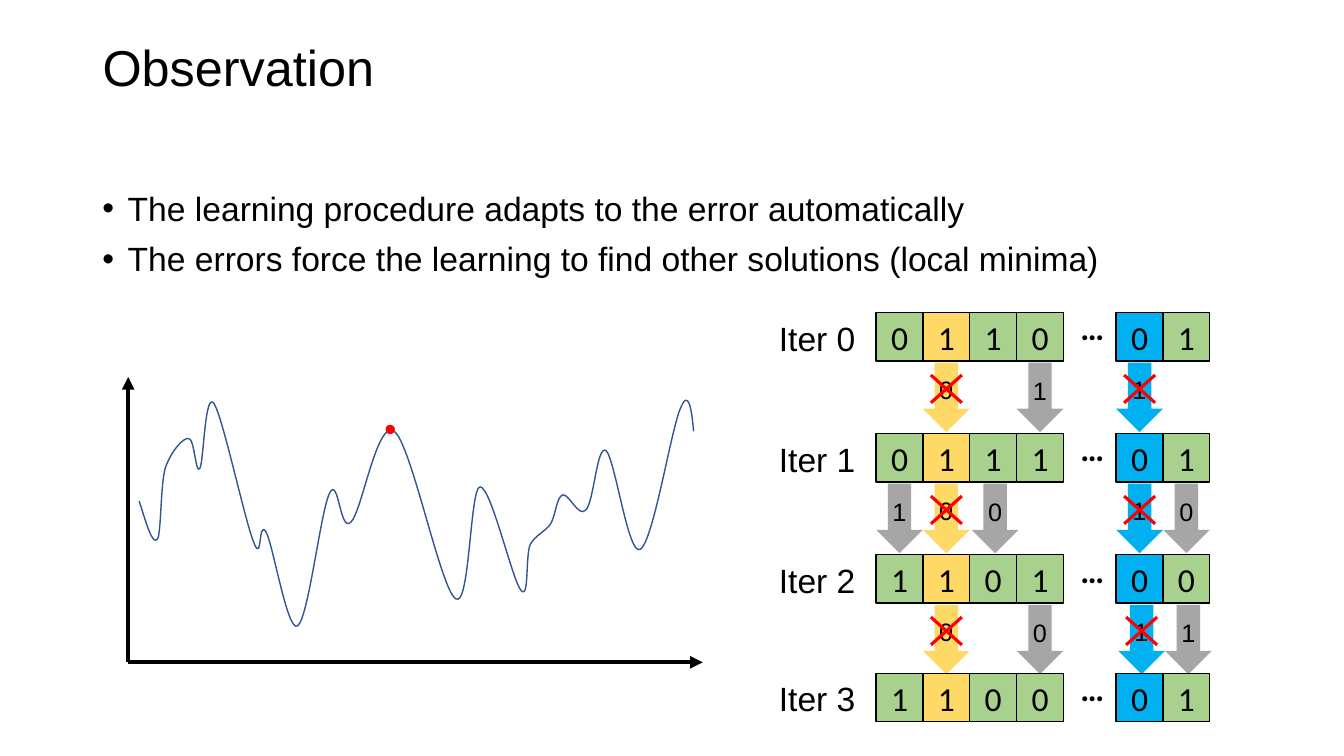
from pptx import Presentation
from pptx.dml.color import RGBColor
from pptx.enum.shapes import MSO_CONNECTOR, MSO_SHAPE
from pptx.enum.text import MSO_ANCHOR, MSO_AUTO_SIZE, PP_ALIGN
from pptx.oxml.ns import qn
from pptx.util import Cm, Pt
from lxml.etree import SubElement

BLACK, RED, GREEN, GREY, NAVY = "000000", "FF0000", "A9D18E", "A6A6A6", "325491"
STUCK_COLOURS = {1: "FFD966", 4: "00B0F0"}
ITERATIONS = ["011001", "011101", "110100", "110001"]
ROW_OFFSETS = [0, 3.05, 6.1, 9.09]
ARROW_SHIFTS = {(1, 2): 0.05, (2, 4): 0.05, (2, 5): 0.05}
BULLETS = [
    "The learning procedure adapts to the error automatically",
    "The errors force the learning to find other solutions (local minima)",
]

# Plot units: the horizontal axis is 570 long, heights are measured up from it.
PLOT_UNITS = 570
LOSS_START = (11, 160)
LOSS_CURVES = [
    ((18, 138), (24, 116), (29, 122)), ((33, 127), (32, 177), (37, 193)),
    ((43, 210), (55, 223), (60, 222)), ((66, 222), (67, 186), (71, 192)),
    ((75, 197), (76, 269), (85, 257)), ((94, 244), (116, 139), (125, 118)),
    ((133, 97), (129, 143), (137, 129)), ((144, 116), (158, 30), (168, 36)),
    ((179, 43), (191, 151), (200, 168)), ((209, 185), (210, 128), (221, 139)),
    ((232, 149), (247, 242), (264, 229)), ((281, 217), (310, 72), (325, 63)),
    ((339, 53), (339, 172), (349, 174)), ((360, 175), (381, 81), (390, 71)),
    ((398, 62), (394, 106), (399, 117)), ((404, 126), (413, 129), (419, 137)),
    ((424, 145), (425, 164), (431, 166)), ((437, 168), (447, 143), (454, 151)),
    ((462, 158), (465, 216), (474, 210)), ((483, 203), (496, 105), (508, 112)),
    ((521, 119), (539, 233), (548, 252)), ((556, 272), (559, 251), (561, 229)),
]
CURRENT_POINT = (260, 231)


def colour(code):
    return RGBColor.from_string(code)


def style_font(paragraph, size, name="Arial", bold=False):
    font = paragraph.font
    font.size, font.name, font.bold = Pt(size), name, bold
    font.color.rgb = colour(BLACK)


def add_shape(page, kind, left, top, width, height, fill, outline=None):
    shape = page.shapes.add_shape(kind, Cm(left), Cm(top), Cm(width), Cm(height))
    shape.shadow.inherit = False
    shape.fill.solid()
    shape.fill.fore_color.rgb = colour(fill)
    if outline:
        shape.line.color.rgb = colour(outline)
        shape.line.width = Pt(1)
    else:
        shape.line.fill.background()
    return shape


def add_label(page, left, top, width, height, text, size, name="Arial", bold=False):
    box = page.shapes.add_textbox(Cm(left), Cm(top), Cm(width), Cm(height))
    box.text_frame.word_wrap = False
    paragraph = box.text_frame.paragraphs[0]
    paragraph.text = text
    style_font(paragraph, size, name, bold)


def add_line(page, start, end, code, width, arrow=False):
    line = page.shapes.add_connector(
        MSO_CONNECTOR.STRAIGHT, *(Cm(value) for value in (*start, *end)))
    line.line.color.rgb = colour(code)
    line.line.width = Pt(width)
    if arrow:
        SubElement(line.line._get_or_add_ln(), qn("a:tailEnd"), type="triangle")
    SubElement(line._element.spPr, qn("a:effectLst"))


def add_title(page, left, top, width, height):
    title = page.shapes.title
    title.left, title.top, title.width, title.height = map(Cm, (left, top, width, height))
    frame = title.text_frame
    frame.text = "Observation"
    frame.auto_size = MSO_AUTO_SIZE.NONE
    frame.vertical_anchor = MSO_ANCHOR.MIDDLE
    paragraph = frame.paragraphs[0]
    paragraph.alignment = PP_ALIGN.LEFT
    paragraph.line_spacing = 0.9
    style_font(paragraph, 36)


def add_bullets(page, left, top, width, height):
    frame = page.shapes.add_textbox(Cm(left), Cm(top), Cm(width), Cm(height)).text_frame
    frame.word_wrap = True
    for index, text in enumerate(BULLETS):
        paragraph = frame.add_paragraph() if index else frame.paragraphs[0]
        paragraph.text = text
        paragraph.line_spacing = 0.9
        if index:
            paragraph.space_before = Pt(10)
        properties = paragraph._p.get_or_add_pPr()
        properties.set("marL", str(Cm(0.64)))
        properties.set("indent", str(-Cm(0.64)))
        SubElement(properties, qn("a:buFont"), typeface="Arial")
        SubElement(properties, qn("a:buChar"), char="•")
        style_font(paragraph, 24)


def add_smooth_curve(page, start, curves):
    """Outline the curve ends, then turn each straight segment into a cubic one."""
    builder = page.shapes.build_freeform(*start)
    builder.add_line_segments([points[-1] for points in curves], close=False)
    curve = builder.convert_to_shape()
    segments = list(curve._element.iter(qn("a:lnTo")))
    for segment, points in zip(segments, curves):
        cubic = SubElement(segment.getparent(), qn("a:cubicBezTo"))
        for x, y in points:
            SubElement(cubic, qn("a:pt"), x=str(x - curve.left), y=str(y - curve.top))
        segment.getparent().replace(segment, cubic)
    return curve


def add_loss_plot(page, left, top, width, height):
    bottom = top + height
    unit = width / PLOT_UNITS

    def place(point):
        return Cm(left + point[0] * unit), Cm(bottom - point[1] * unit)

    add_line(page, (left, bottom), (left, top), BLACK, 3, arrow=True)
    add_line(page, (left, bottom), (left + width, bottom), BLACK, 3, arrow=True)

    curves = [[place(point) for point in points] for points in LOSS_CURVES]
    curve = add_smooth_curve(page, place(LOSS_START), curves)
    curve.shadow.inherit = False
    curve.fill.background()
    curve.line.color.rgb = colour(NAVY)
    curve.line.width = Pt(1)

    x, y = (length.cm for length in place(CURRENT_POINT))
    dot = 0.2
    add_shape(page, MSO_SHAPE.OVAL, x - dot / 2, y - dot / 2, dot, dot, RED, RED)


def add_update_arrow(page, left, top, width, height, digit, fill, blocked):
    add_shape(page, MSO_SHAPE.DOWN_ARROW, left, top, width, height, fill)
    drop = 0.16 if blocked else 0.2
    add_label(page, left + 0.16, top + drop, width - 0.32, 1.02, digit, 18)
    if blocked:
        near, far = left + 0.2, left + width - 0.2
        high, low = top + 0.31, top + 1.01
        add_line(page, (near, high), (far, low), RED, 2.25)
        add_line(page, (far, high), (near, low), RED, 2.25)


def add_iterations(page, left, top):
    """Draw the bit rows; stuck columns refuse every flip, others show each change."""
    cell_width, cell_height = 1.18, 1.22
    first_cell, ellipsis_width = left + 2.7, 1.33
    columns = [first_cell + cell_width * index + (ellipsis_width if index > 3 else 0)
               for index in range(len(ITERATIONS[0]))]

    for row, bits in enumerate(ITERATIONS):
        row_top = top + ROW_OFFSETS[row]
        add_label(page, left, row_top, 2.46, 1.27, f"Iter {row}", 24)
        add_label(page, columns[3] + cell_width + 0.18, row_top - 0.26, 1.12, 1.27,
                  "…", 24, "Calibri", bold=True)
        following = ITERATIONS[row + 1] if row + 1 < len(ITERATIONS) else None
        for index, (x, bit) in enumerate(zip(columns, bits)):
            stuck = index in STUCK_COLOURS
            cell = add_shape(page, MSO_SHAPE.RECTANGLE, x, row_top, cell_width, cell_height,
                             STUCK_COLOURS.get(index, GREEN), BLACK)
            cell.text_frame.vertical_anchor = MSO_ANCHOR.MIDDLE
            paragraph = cell.text_frame.paragraphs[0]
            paragraph.text = bit
            paragraph.alignment = PP_ALIGN.CENTER
            style_font(paragraph, 24, "Calibri")
            if following and (stuck or following[index] != bit):
                flipped = "1" if bit == "0" else "0"
                shift = ARROW_SHIFTS.get((row, index), 0)
                add_update_arrow(page, x + shift, row_top + 1.26, cell_width, 1.75, flipped,
                                 STUCK_COLOURS.get(index, GREY), stuck)


def main():
    deck = Presentation()
    deck.slide_width, deck.slide_height = Cm(33.87), Cm(19.05)
    page = deck.slides.add_slide(deck.slide_layouts[5])
    add_title(page, 2.33, 0.58, 29.21, 2.36)
    add_bullets(page, 2.33, 4.72, 29.21, 2.77)
    add_loss_plot(page, 3.23, 9.5, 14.48, 7.19)
    add_iterations(page, 19.38, 7.88)
    deck.save("out.pptx")


if __name__ == "__main__":
    main()
